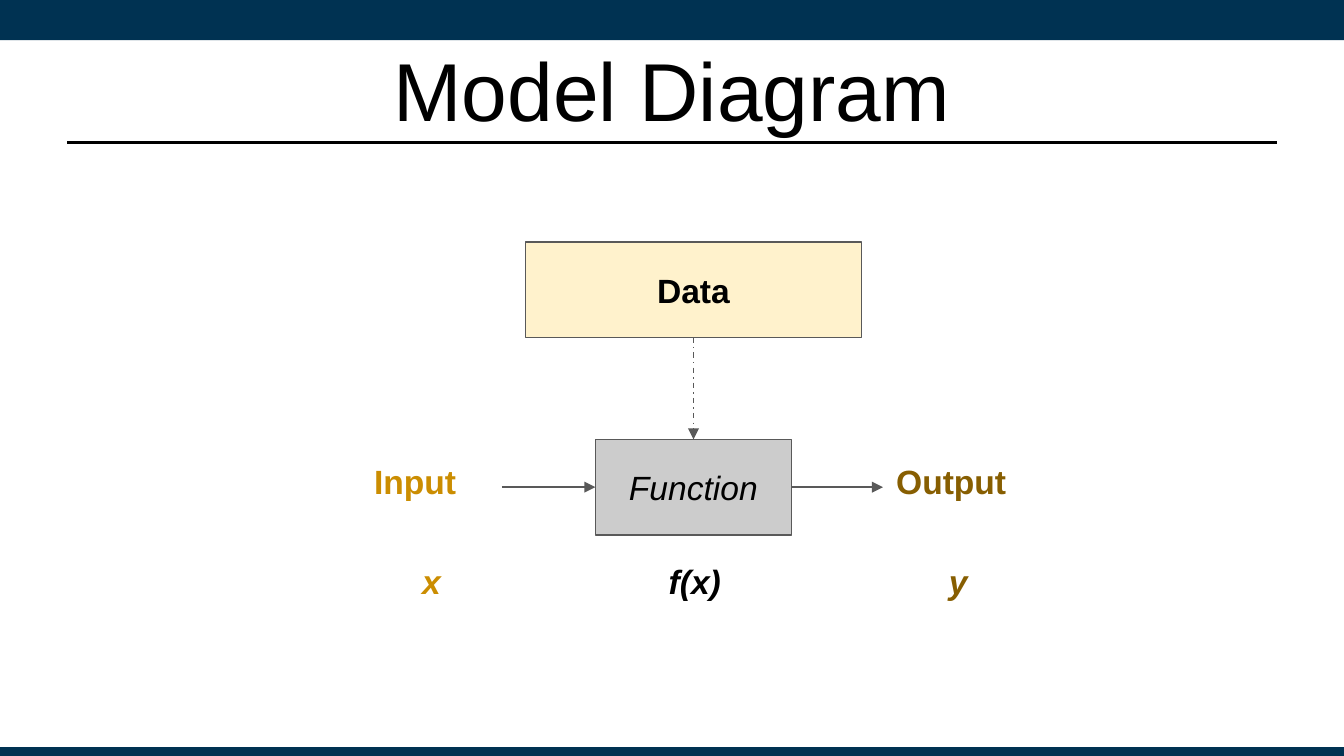
from lxml import etree
from pptx import Presentation, util as u
from pptx.dml.color import RGBColor
from pptx.enum import dml, shapes, text
from pptx.oxml.ns import qn

HUE = {"navy": "003252", "black": "000000", "grey": "CCCCCC", "edge": "595959",
       "cream": "FFF2CC", "gold": "CB8D01", "brown": "875E01"}
WIDE, HIGH = 10, 10 * 9 / 16
MID, STEP = 5.16, 1.96  # centre column and the gap between columns
ROWS = {"data": 1.8, "func": 3.27, "label": 3.33, "sign": 4.07}
BOX, TALL = 0.71, 0.59  # heights of the boxes and of the labels


def write(shape, words, hue="black", size=18, bold=False, italic=False,
          align="CENTER", anchor="TOP", pad=0.1):
    frame = shape.text_frame
    frame.word_wrap = True
    frame.auto_size = text.MSO_AUTO_SIZE.NONE
    frame.vertical_anchor = text.MSO_ANCHOR[anchor]
    frame.margin_left = frame.margin_right = u.Inches(0.1)
    frame.margin_top = frame.margin_bottom = u.Inches(pad)
    par = frame.paragraphs[0]
    par.alignment = text.PP_ALIGN[align]
    run = par.add_run()
    run.text = words
    font = run.font
    font.name, font.size, font.bold, font.italic = "Arial", u.Pt(size), bold, italic
    font.color.rgb = RGBColor.from_string(HUE[hue])


def join(x1, y1, x2, y2, hue="edge", width=0.75, start=None, end=None, head=True):
    """Draw a straight line; start and end are (shape, side) pairs to join."""
    line = slide.shapes.add_connector(
        shapes.MSO_CONNECTOR.STRAIGHT, *map(u.Inches, (x1, y1, x2, y2)))
    if start:
        line.begin_connect(*start)
    if end:
        line.end_connect(*end)
    line.line.color.rgb = RGBColor.from_string(HUE[hue])
    line.line.width = u.Pt(width)
    etree.SubElement(line._element.spPr, qn("a:effectLst"))
    if head:
        etree.SubElement(line.line._get_or_add_ln(), qn("a:tailEnd"), type="triangle")
    return line


deck = Presentation()
deck.slide_width, deck.slide_height = u.Inches(WIDE), u.Inches(HIGH)
slide = deck.slides.add_slide(deck.slide_layouts[5])

# Bars, then the two boxes of the diagram
parts = {}
for name, left, top, wide, tall, fill, edge in [
    ("head", 0, 0, WIDE, 0.3, "navy", None),
    ("foot", 0, 5.56, WIDE, HIGH - 5.56, "navy", None),
    ("Data", MID - 1.25, ROWS["data"], 2.5, BOX, "cream", "edge"),
    ("Function", MID - 0.73, ROWS["func"], 1.46, BOX, "grey", "edge"),
]:
    box = slide.shapes.add_shape(
        shapes.MSO_SHAPE.RECTANGLE, *map(u.Inches, (left, top, wide, tall)))
    box.shadow.inherit = False
    box.fill.solid()
    box.fill.fore_color.rgb = RGBColor.from_string(HUE[fill])
    if edge:
        box.line.color.rgb = RGBColor.from_string(HUE[edge])
        box.line.width = u.Pt(0.75)
    else:
        box.line.fill.background()
    parts[name] = box
write(parts["Data"], "Data", bold=True, anchor="MIDDLE")
write(parts["Function"], "Function", italic=True, anchor="MIDDLE")

# Title and its rule
title = slide.shapes.title
title.left, title.top = u.Inches(0.05 * WIDE), u.Inches(0.19)
title.width, title.height = u.Inches(0.9 * WIDE), u.Inches(0.94)
write(title, "Model Diagram", size=44, anchor="MIDDLE", pad=0.05)
join(0.05 * WIDE, 1.06, 0.95 * WIDE, 1.06, hue="black", width=1.25, head=False)

# Labels beside the function and signs below it
for words, col, row, wide, hue, italic, align in [
    ("Input", -1, "label", 1.05, "gold", False, "LEFT"),
    ("Output", 1, "label", 1.23, "brown", False, "LEFT"),
    ("x", -1, "sign", 1.05, "gold", True, "CENTER"),
    ("f(x)", 0, "sign", 1.05, "black", True, "CENTER"),
    ("y", 1, "sign", 1.05, "brown", True, "CENTER"),
]:
    left = MID + 0.01 + col * STEP - wide / 2
    if words == "Output":
        left = 6.57
    label = slide.shapes.add_textbox(
        *map(u.Inches, (left, ROWS[row], wide, TALL)))
    write(label, words, hue=hue, bold=True, italic=italic, align=align)
    parts[words] = label

# Arrows
data, func = parts["Data"], parts["Function"]
level = ROWS["func"] + BOX / 2
join(3.75, level, 4.43, level, start=(parts["Input"], 3), end=(func, 1))
join(5.89, level, 6.57, level, start=(func, 3), end=(parts["Output"], 1))
feed = join(MID, ROWS["data"] + BOX, MID, ROWS["func"], start=(data, 2), end=(func, 0))
feed.line.dash_style = dml.MSO_LINE.DASH_DOT

deck.save("out.pptx")
